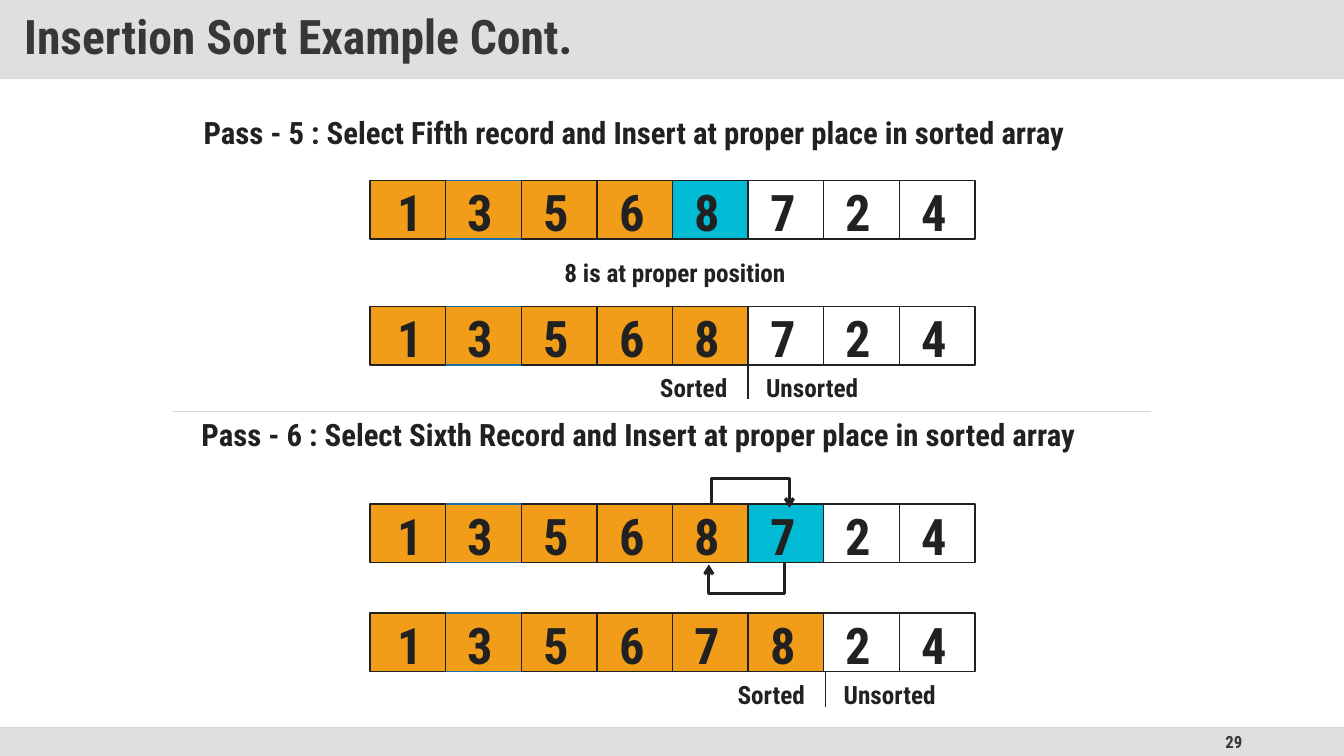
import dataclasses
import pptx
import pptx.dml.color
import pptx.enum.shapes
import pptx.enum.text
import pptx.oxml.ns
import pptx.oxml.xmlchemy
import pptx.util
from lxml import etree

Inches = pptx.util.Inches
Pt = pptx.util.Pt
qn = pptx.oxml.ns.qn
Kind = pptx.enum.shapes.MSO_SHAPE
Link = pptx.enum.shapes.MSO_CONNECTOR
Anchor = pptx.enum.text.MSO_ANCHOR
Align = pptx.enum.text.PP_ALIGN
Fit = pptx.enum.text.MSO_AUTO_SIZE


@dataclasses.dataclass(frozen=True)
class Theme:
    """Colours and type sizes of the slide."""
    font: str = "Roboto Condensed"
    ink: str = "212121"
    grey: str = "373737"
    band: str = "DFDFDF"
    rule: str = "D9D9D9"
    edge: str = "D2D2D2"
    blue: str = "1D6FA9"
    done: str = "F19D19"
    pick: str = "00BBD3"
    rest: str = "FFFFFF"
    title: int = 34
    digit: int = 36
    head: int = 22
    note: int = 18
    page: int = 12


THEME = Theme()


def rgb(code):
    """Turn a hex code into a colour."""
    return pptx.dml.color.RGBColor.from_string(code)


def style(frame, size, color=THEME.ink, align=Align.LEFT):
    """Format the only paragraph of a text frame."""
    para = frame.paragraphs[0]
    para.alignment = align
    for run in para.runs:
        run.font.name = THEME.font
        run.font.size = Pt(size)
        run.font.bold = True
        run.font.color.rgb = rgb(color)


def inset(frame, left, top, right, bottom):
    """Set the four margins of a text frame."""
    frame.margin_left, frame.margin_top = Inches(left), Inches(top)
    frame.margin_right, frame.margin_bottom = Inches(right), Inches(bottom)


def label(slide, box, text, size, align=Align.LEFT):
    """Add a one-line text box that fits its text."""
    shape = slide.shapes.add_textbox(*map(Inches, box))
    frame = shape.text_frame
    frame.text = text
    frame.word_wrap = False
    frame.auto_size = Fit.SHAPE_TO_FIT_TEXT
    style(frame, size, align=align)


def block(slide, box, fill, line=None):
    """Add a filled rectangle."""
    shape = slide.shapes.add_shape(Kind.RECTANGLE, *map(Inches, box))
    shape.shadow.inherit = False
    shape.fill.solid()
    shape.fill.fore_color.rgb = rgb(fill)
    if line:
        shape.line.color.rgb = rgb(line)
        shape.line.width = Pt(1)
    else:
        shape.line.fill.background()
    return shape


def rule(slide, box, color, width, kind=Link.STRAIGHT):
    """Add a connector from corner to corner of a box."""
    left, top, wide, high = box
    ends = map(Inches, (left, top, left + wide, top + high))
    line = slide.shapes.add_connector(kind, *ends)
    line.line.color.rgb = rgb(color)
    line.line.width = Pt(width)
    etree.SubElement(line._element.spPr, qn("a:effectLst"))
    return line


def bend(slide, box, reach):
    """Add an elbow arrow that leaves the box start by reach and turns back."""
    left, top, wide, high = box
    span = abs(wide)
    mid, level = left + wide / 2, top + high / 2
    turned = (mid - high / 2, level - span / 2, high, span)
    line = rule(slide, turned, THEME.ink, 2.25, Link.ELBOW)
    props = line._element.spPr
    frame = props.find(qn("a:xfrm"))
    frame.set("rot", str((270 if wide > 0 else 90) * 60000))
    if wide > 0:
        frame.set("flipH", "1")
    guides = props.find(qn("a:prstGeom")).find(qn("a:avLst"))
    ratio = round(reach / high * 100000)
    etree.SubElement(guides, qn("a:gd"), name="adj1", fmla=f"val {ratio}")
    etree.SubElement(props.find(qn("a:ln")), qn("a:tailEnd"), type="arrow")


def row(slide, box, digits, done, pick=None):
    """Add the array as equal cells, coloured by sorting state."""
    left, top, wide, high = box
    step = wide / len(digits)
    for i in (1, 0, *range(2, len(digits))):
        fill = THEME.pick if i == pick else THEME.done if i < done else THEME.rest
        edge = THEME.blue if i == 1 else THEME.ink
        cell = block(slide, (left + i * step, top, step, high), fill, edge)
        frame = cell.text_frame
        frame.text = digits[i]
        frame.word_wrap = True
        frame.vertical_anchor = Anchor.TOP
        inset(frame, 0.27 if i == 0 else 0.22, 0.01, 0, 0)
        style(frame, THEME.digit)


def split(slide, box):
    """Mark the border between the sorted and unsorted parts."""
    left, top, wide, high = box
    rule(slide, (left, top, 0, 0.34), THEME.ink, 1)
    label(slide, (left - 1, top + 0.02, 0.95, high), "Sorted ", THEME.note, Align.RIGHT)
    label(slide, (left + 0.08, top + 0.02, wide, high), "Unsorted", THEME.note)


def fifth(slide, box):
    """Add the region of pass 5."""
    left, top, wide, high = box
    label(slide, (left + 0.21, top, 9.08, 0.47),
          "Pass - 5 : Select Fifth record and Insert at proper place in sorted array", THEME.head)
    row(slide, (left + 1.96, top + 0.71, 6, 0.58), "13568724", 4, 4)
    label(slide, (left + 3.79, top + 1.42, 2.49, 0.4), "8 is at proper position", THEME.note)
    row(slide, (left + 1.96, top + 1.96, 6, 0.58), "13568724", 5)
    split(slide, (left + 5.71, top + 2.54, 1.17, 0.4))
    rule(slide, (left, top + high, wide, 0), THEME.rule, 0.5)


def sixth(slide, box):
    """Add the region of pass 6."""
    left, top, wide, high = box
    label(slide, (left + 0.19, top, 9.18, 0.47),
          "Pass - 6 : Select Sixth Record and Insert at proper place in sorted array", THEME.head)
    row(slide, (left + 1.96, top + 0.92, 6, 0.58), "13568724", 5, 5)
    bend(slide, (left + 5.35, top + 0.92, 0.77, 0.04), -0.25)
    bend(slide, (left + 6.07, top + 1.5, -0.75, 0.02), 0.31)
    row(slide, (left + 1.96, top + 2, 6, 0.58), "13567824", 6)
    split(slide, (left + 6.48, top + 2.59, 1.17, 0.4))


def header(slide, box):
    """Format the title as a band with a line below."""
    left, top, wide, high = box
    title = slide.shapes.title
    title.left, title.top, title.width, title.height = map(Inches, box)
    title.fill.solid()
    title.fill.fore_color.rgb = rgb(THEME.band)
    frame = title.text_frame
    frame.text = "Insertion Sort Example Cont."
    frame.word_wrap = True
    frame.auto_size = Fit.NONE
    frame.vertical_anchor = Anchor.MIDDLE
    inset(frame, 0.24, 0.12, 0.24, 0.12)
    frame.paragraphs[0].line_spacing = 0.9
    style(frame, THEME.title, THEME.grey)
    rule(slide, (left, top + high, wide, 0), THEME.rule, 1)


def footer(slide, box):
    """Add the bottom band with the page number."""
    left, top, wide, high = box
    block(slide, box, THEME.band)
    page = slide.shapes.add_textbox(*map(Inches, (left + 9.42, top, 3, high)))
    frame = page.text_frame
    frame.text = "29"
    frame.word_wrap = True
    frame.vertical_anchor = Anchor.MIDDLE
    style(frame, THEME.page, THEME.grey, Align.RIGHT)
    rule(slide, (left, top, wide, 0), THEME.edge, 1)


def main():
    """Build and save the slide."""
    deck = pptx.Presentation()
    deck.slide_width, deck.slide_height = Inches(13.33), Inches(7.5)
    slide = deck.slides.add_slide(deck.slide_layouts[5])
    header(slide, (0, 0, 13.33, 0.78))
    footer(slide, (0, 7.22, 13.33, 0.28))
    fifth(slide, (1.71, 1.08, 9.71, 3))
    sixth(slide, (1.71, 4.08, 9.71, 3))
    deck.save("out.pptx")


if __name__ == "__main__":
    main()
